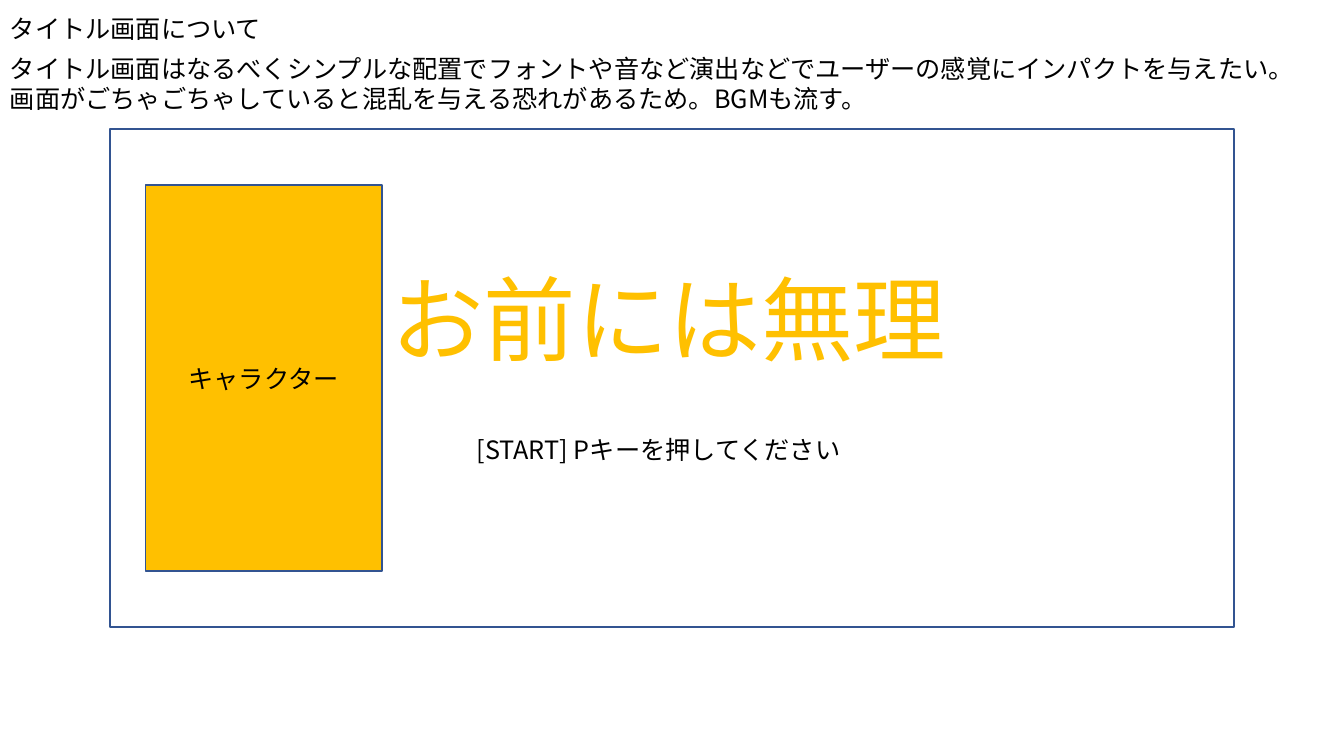
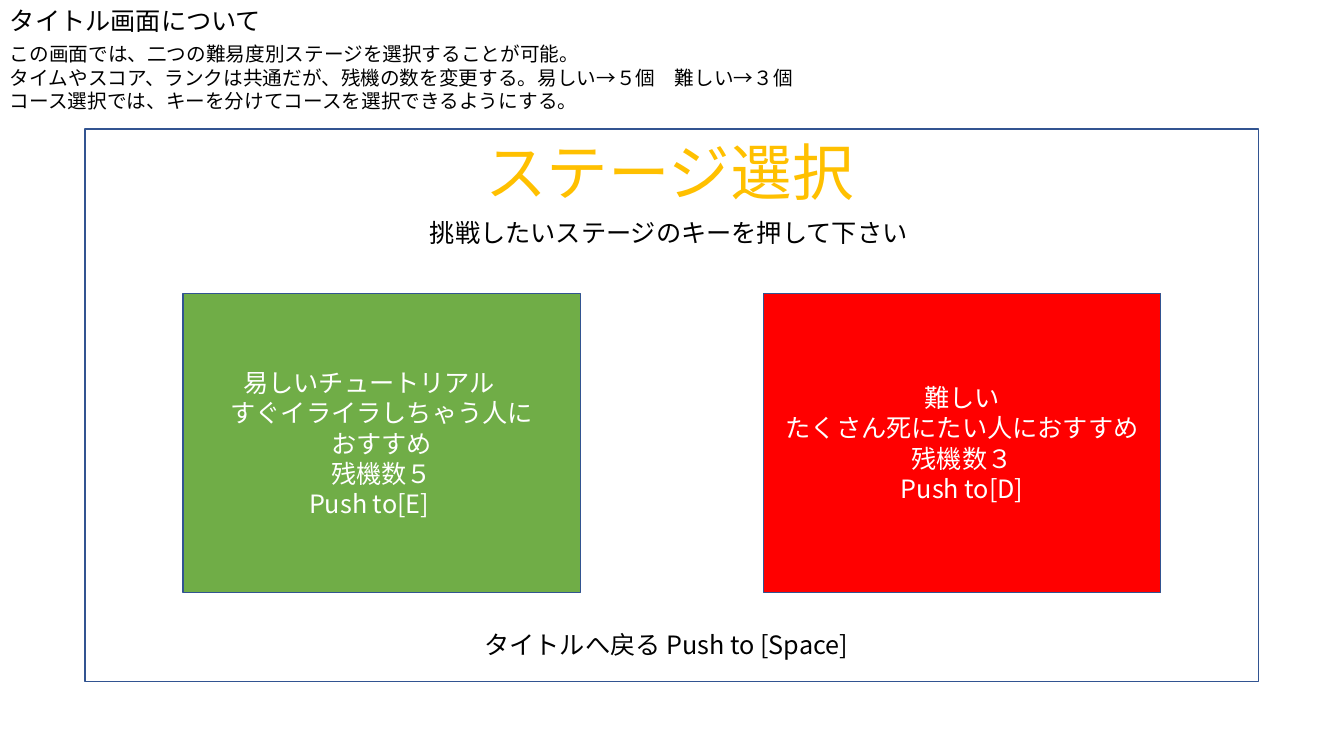
from dataclasses import dataclass

from lxml.etree import SubElement
from pptx import Presentation
from pptx.dml.color import RGBColor
from pptx.enum.shapes import MSO_SHAPE
from pptx.enum.text import MSO_ANCHOR, MSO_AUTO_SIZE, PP_ALIGN
from pptx.oxml.ns import qn
from pptx.util import Inches, Pt


@dataclass(frozen=True)
class Theme:
    font: str = "Noto Sans CJK JP"
    ink: str = "000000"
    white: str = "FFFFFF"
    outline: str = "325491"
    gold: str = "FFC000"
    green: str = "70AD47"
    red: str = "FF0000"
    note: int = 14
    body: int = 18
    heading: int = 44
    logo: int = 66


THEME = Theme()
WIDTH, HEIGHT = 13.33, 7.5
FRAME_TOP = 1.28

# Content: captions are (lines, top, width, height, size, colour)
HEADING = "タイトル画面について"
TITLE_SCREEN = {
    "heading_top": 0.08,
    "notes": (["タイトル画面はなるべくシンプルな配置でフォントや音など演出などでユーザーの感覚にインパクトを与えたい。",
               "画面がごちゃごちゃしていると混乱を与える恐れがあるため。BGMも流す。"],
              0.48, 13.08, 0.71, THEME.body, THEME.ink),
    "frame": (11.15, 4.94),
    "captions": [
        (["お前には無理"], 2.55, 5.76, 1.21, THEME.logo, THEME.gold),
        (["[START] Pキーを押してください"], 4.26, 4.07, 0.4, THEME.body, THEME.ink),
    ],
}
CHARACTER = (["キャラクター"], THEME.gold, THEME.ink)
CHARACTER_LEFT, CHARACTER_WIDTH, CHARACTER_HEIGHT = 1.44, 2.35, 3.83

STAGE_SCREEN = {
    "heading_top": 0,
    "notes": (["この画面では、二つの難易度別ステージを選択することが可能。",
               "タイムやスコア、ランクは共通だが、残機の数を変更する。易しい→５個　難しい→３個",
               "コース選択では、キーを分けてコースを選択できるようにする。"],
              0.37, 8.06, 0.81, THEME.note, THEME.ink),
    "frame": (11.64, 5.48),
    "captions": [
        (["ステージ選択"], FRAME_TOP, 3.9, 0.84, THEME.heading, THEME.gold),
        (["挑戦したいステージのキーを押して下さい"], 2.11, 5, 0.4, THEME.body, THEME.ink),
        (["タイトルへ戻る Push to [Space]"], 6.19, 3.92, 0.4, THEME.body, THEME.ink),
    ],
}
STAGES = [
    (["易しいチュートリアル　", "すぐイライラしちゃう人に", "おすすめ", "残機数５", "Push to[E]　"],
     THEME.green, THEME.white),
    (["難しい", "たくさん死にたい人におすすめ", "残機数３", "Push to[D]"],
     THEME.red, THEME.white),
]
STAGE_TOP, STAGE_WIDTH, STAGE_HEIGHT = 2.91, 3.94, 2.97


def centred(width):
    return (WIDTH - width) / 2


def write(frame, lines, size, colour, align=PP_ALIGN.LEFT):
    frame.text = "\n".join(lines)
    for paragraph in frame.paragraphs:
        paragraph.alignment = align
        for run in paragraph.runs:
            run.font.size = Pt(size)
            run.font.name = THEME.font
            run.font.color.rgb = RGBColor.from_string(colour)
            # East Asian glyphs take their own typeface entry
            SubElement(run.font._element, qn("a:ea")).set("typeface", THEME.font)


def add_caption(slide, left, lines, top, width, height, size, colour):
    caption = slide.shapes.add_textbox(*map(Inches, (left, top, width, height)))
    write(caption.text_frame, lines, size, colour)
    caption.text_frame.word_wrap = False
    caption.text_frame.auto_size = MSO_AUTO_SIZE.SHAPE_TO_FIT_TEXT


def add_panel(slide, left, top, width, height, fill=None):
    panel = slide.shapes.add_shape(MSO_SHAPE.RECTANGLE,
                                   *map(Inches, (left, top, width, height)))
    panel.shadow.inherit = False
    panel.line.color.rgb = RGBColor.from_string(THEME.outline)
    panel.line.width = Pt(1)
    if fill:
        panel.fill.solid()
        panel.fill.fore_color.rgb = RGBColor.from_string(fill)
    else:
        panel.fill.background()
    return panel


def add_card(slide, box, lines, fill, colour):
    text = add_panel(slide, *box, fill).text_frame
    text.word_wrap = True
    text.vertical_anchor = MSO_ANCHOR.MIDDLE
    write(text, lines, THEME.body, colour, PP_ALIGN.CENTER)


def add_screen(deck, screen):
    """Heading, notes and a centred mock screen with centred captions."""
    slide = deck.slides.add_slide(deck.slide_layouts[6])
    add_caption(slide, 0, [HEADING], screen["heading_top"], 2.73, 0.4,
                THEME.body, THEME.ink)
    add_caption(slide, 0, *screen["notes"])
    width, height = screen["frame"]
    add_panel(slide, centred(width), FRAME_TOP, width, height)
    for caption in screen["captions"]:
        add_caption(slide, centred(caption[2]), *caption)
    return slide


def main():
    deck = Presentation()
    deck.slide_width, deck.slide_height = Inches(WIDTH), Inches(HEIGHT)

    # Title screen: the character stands at mid-height
    title_slide = add_screen(deck, TITLE_SCREEN)
    character_top = (HEIGHT - CHARACTER_HEIGHT) / 2
    add_card(title_slide,
             (CHARACTER_LEFT, character_top, CHARACTER_WIDTH, CHARACTER_HEIGHT),
             *CHARACTER)

    # Stage selection: equal gaps around the stage cards
    stage_slide = add_screen(deck, STAGE_SCREEN)
    gap = (WIDTH - len(STAGES) * STAGE_WIDTH) / (len(STAGES) + 1)
    for column, stage in enumerate(STAGES):
        left = gap + column * (STAGE_WIDTH + gap)
        add_card(stage_slide, (left, STAGE_TOP, STAGE_WIDTH, STAGE_HEIGHT), *stage)

    deck.save("out.pptx")


if __name__ == "__main__":
    main()
